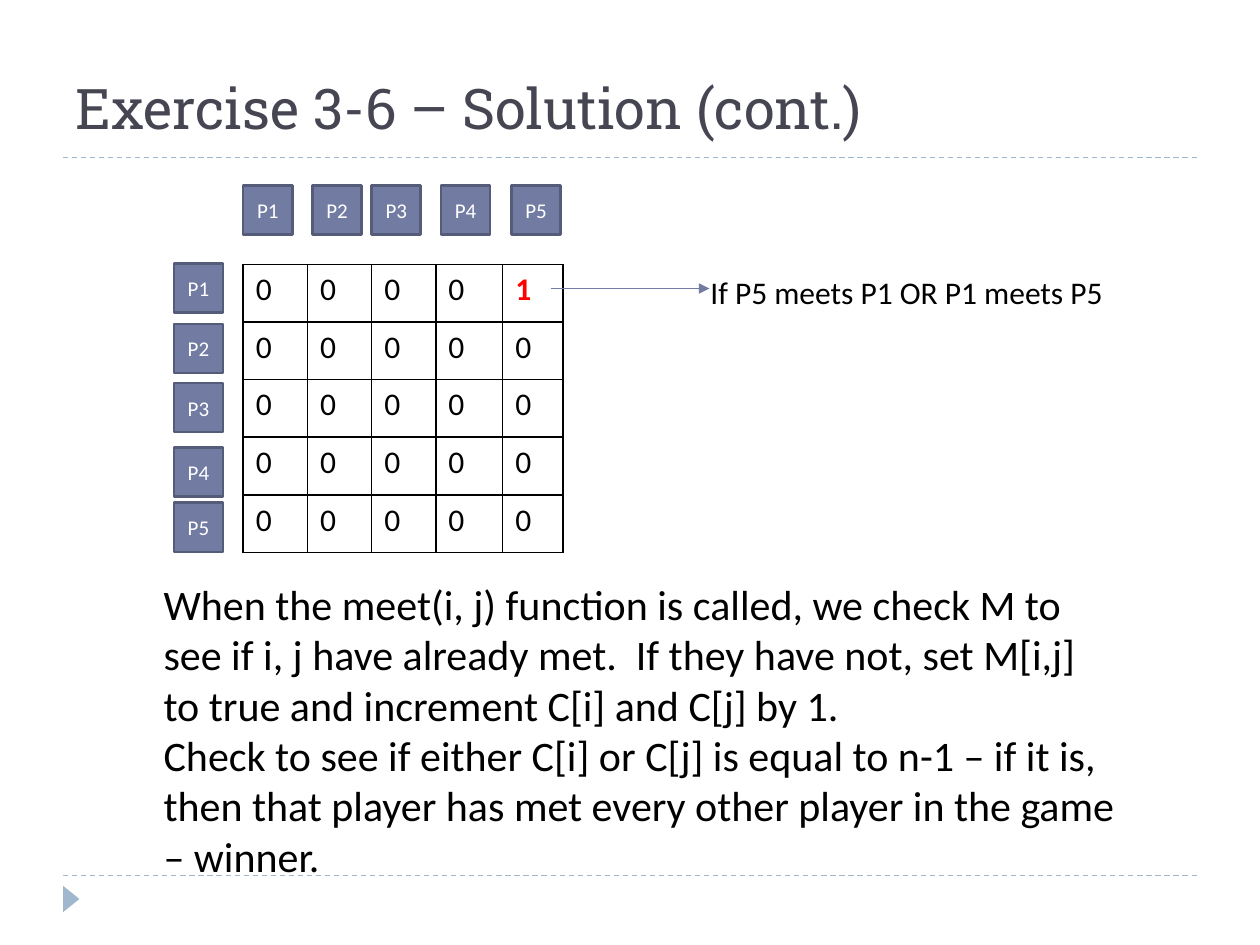
from typing import NamedTuple

from lxml.etree import SubElement
from pptx import Presentation
from pptx.dml.color import RGBColor
from pptx.enum.dml import MSO_LINE
from pptx.enum.shapes import MSO_CONNECTOR, MSO_SHAPE
from pptx.enum.text import MSO_ANCHOR, MSO_AUTO_SIZE, PP_ALIGN
from pptx.oxml import parse_xml
from pptx.oxml.ns import nsdecls, qn
from pptx.util import Inches, Pt

COLORS = {
    "title": "464653",
    "rule": "9FB8CD",
    "player": "727CA3",
    "player_edge": "545C79",
    "text": "000000",
    "met": "FF0000",
    "white": "FFFFFF",
}
BODY_FONT = "Calibri"
PLAYER_SIZE = 0.39
COLUMN_WIDTHS = [0.51, 0.51, 0.51, 0.53, 0.48]
ROW_HEIGHT = 0.457
PLAYER_COUNT = 5
MET_CELL = (0, 4)


class Player(NamedTuple):
    name: str
    left: float
    top: float


class Line(NamedTuple):
    x1: float
    y1: float
    x2: float
    y2: float
    color: str
    dashed: bool = False
    arrow: bool = False


PLAYERS = [
    *(Player(f"P{n}", left, 1.47)
      for n, left in enumerate([1.93, 2.48, 2.95, 3.5, 4.06], 1)),
    *(Player(f"P{n}", 1.38, top)
      for n, top in enumerate([2.09, 2.57, 3.04, 3.55, 3.99], 1)),
]
LINES = [
    Line(0.5, 6.95, 9.5, 6.95, "rule", dashed=True),
    Line(0.5, 1.25, 9.5, 1.25, "rule", dashed=True),
    Line(4.37, 2.29, 5.63, 2.29, "player", arrow=True),
]
EXPLANATION = [
    "When the meet(i, j) function is called, we check M to see if i, j have "
    "already met.  If they have not, set M[i,j] to true and increment C[i] "
    "and C[j] by 1.",
    "Check to see if either C[i] or C[j] is equal to n-1 – if it is, then that "
    "player has met every other player in the game – winner.",
]


def rgb(name: str) -> RGBColor:
    return RGBColor.from_string(COLORS[name])


def add_run(paragraph, text: str, size: float, color: str,
            font: str = BODY_FONT, bold: bool = False) -> None:
    run = paragraph.add_run()
    run.text = text
    run.font.size = Pt(size)
    run.font.name = font
    run.font.bold = bold
    run.font.color.rgb = rgb(color)


def draw_line(slide, line: Line) -> None:
    connector = slide.shapes.add_connector(
        MSO_CONNECTOR.STRAIGHT, Inches(line.x1), Inches(line.y1),
        Inches(line.x2), Inches(line.y2))
    connector.line.color.rgb = rgb(line.color)
    connector.line.width = Pt(0.75)
    if line.dashed:
        connector.line.dash_style = MSO_LINE.DASH
    if line.arrow:
        SubElement(connector.line._get_or_add_ln(), qn("a:tailEnd"), type="triangle")
    SubElement(connector._element.spPr, qn("a:effectLst"))


def draw_player(slide, player: Player) -> None:
    box = slide.shapes.add_shape(
        MSO_SHAPE.RECTANGLE, Inches(player.left), Inches(player.top),
        Inches(PLAYER_SIZE), Inches(PLAYER_SIZE))
    box.shadow.inherit = False
    box.fill.solid()
    box.fill.fore_color.rgb = rgb("player")
    box.line.color.rgb = rgb("player_edge")
    box.line.width = Pt(1.5)
    frame = box.text_frame
    frame.margin_left = frame.margin_right = Inches(0)
    frame.vertical_anchor = MSO_ANCHOR.MIDDLE
    frame.paragraphs[0].alignment = PP_ALIGN.CENTER
    add_run(frame.paragraphs[0], player.name, 12, "white")


def set_borders(cell) -> None:
    properties = cell._tc.get_or_add_tcPr()
    for position, side in enumerate(("lnL", "lnR", "lnT", "lnB")):
        properties.insert(position, parse_xml(
            f'<a:{side} {nsdecls("a")} w="{Pt(1)}"><a:solidFill>'
            f'<a:srgbClr val="{COLORS["text"]}"/></a:solidFill></a:{side}>'))


def draw_matrix(slide) -> None:
    matrix = slide.shapes.add_table(
        PLAYER_COUNT, PLAYER_COUNT, Inches(1.93), Inches(2.1),
        Inches(sum(COLUMN_WIDTHS)), Inches(ROW_HEIGHT * PLAYER_COUNT)).table
    matrix.first_row = matrix.horz_banding = False
    for column, width in zip(matrix.columns, COLUMN_WIDTHS):
        column.width = Inches(width)
    for i, row in enumerate(matrix.rows):
        row.height = Inches(ROW_HEIGHT)
        for j, cell in enumerate(row.cells):
            met = (i, j) == MET_CELL
            cell.fill.background()
            set_borders(cell)
            add_run(cell.text_frame.paragraphs[0], "1" if met else "0", 18,
                    "met" if met else "text", bold=met)


def draw_text(slide, left: float, top: float, width: float, height: float,
              paragraphs: list[str], size: float, wrap: bool,
              indent: float = 0) -> None:
    box = slide.shapes.add_textbox(
        Inches(left), Inches(top), Inches(width), Inches(height))
    frame = box.text_frame
    frame.word_wrap = wrap
    frame.auto_size = MSO_AUTO_SIZE.SHAPE_TO_FIT_TEXT
    for index, text in enumerate(paragraphs):
        paragraph = frame.add_paragraph() if index else frame.paragraphs[0]
        if indent:
            paragraph.level = 1
            properties = paragraph._p.get_or_add_pPr()
            properties.set("marL", str(Inches(indent)))
            properties.set("indent", "0")
        add_run(paragraph, text, size, "text")


def main() -> None:
    presentation = Presentation()
    presentation.slide_width = Inches(10)
    presentation.slide_height = Inches(7.5)
    slide = presentation.slides.add_slide(presentation.slide_layouts[5])

    # Title
    title = slide.shapes.title
    title.left, title.top = Inches(0.5), Inches(0.09)
    title.width, title.height = Inches(9), Inches(1.08)
    heading = title.text_frame
    heading.auto_size = MSO_AUTO_SIZE.NONE
    heading.vertical_anchor = MSO_ANCHOR.BOTTOM
    heading.paragraphs[0].alignment = PP_ALIGN.LEFT
    add_run(heading.paragraphs[0], "Exercise 3-6 – Solution (cont.)", 32,
            "title", "Roboto Slab")

    # Footer marker
    marker = slide.shapes.add_shape(
        MSO_SHAPE.ISOSCELES_TRIANGLE, Inches(0.46), Inches(7.07),
        Inches(0.21), Inches(0.13))
    marker.rotation = 90
    marker.shadow.inherit = False
    marker.fill.solid()
    marker.fill.fore_color.rgb = rgb("rule")
    marker.line.fill.background()

    # Meeting matrix with its player labels
    draw_matrix(slide)
    for player in PLAYERS:
        draw_player(slide, player)

    # Rules and the arrow from the met cell
    for line in LINES:
        draw_line(slide, line)

    # Annotation and explanation
    draw_text(slide, 5.54, 2.12, 3.43, 0.4,
              ["If P5 meets P1 OR P1 meets P5"], 18, wrap=False)
    draw_text(slide, 0.7, 4.54, 8.27, 2.52, EXPLANATION, 24, wrap=True, indent=0.5)

    presentation.save("out.pptx")


if __name__ == "__main__":
    main()
